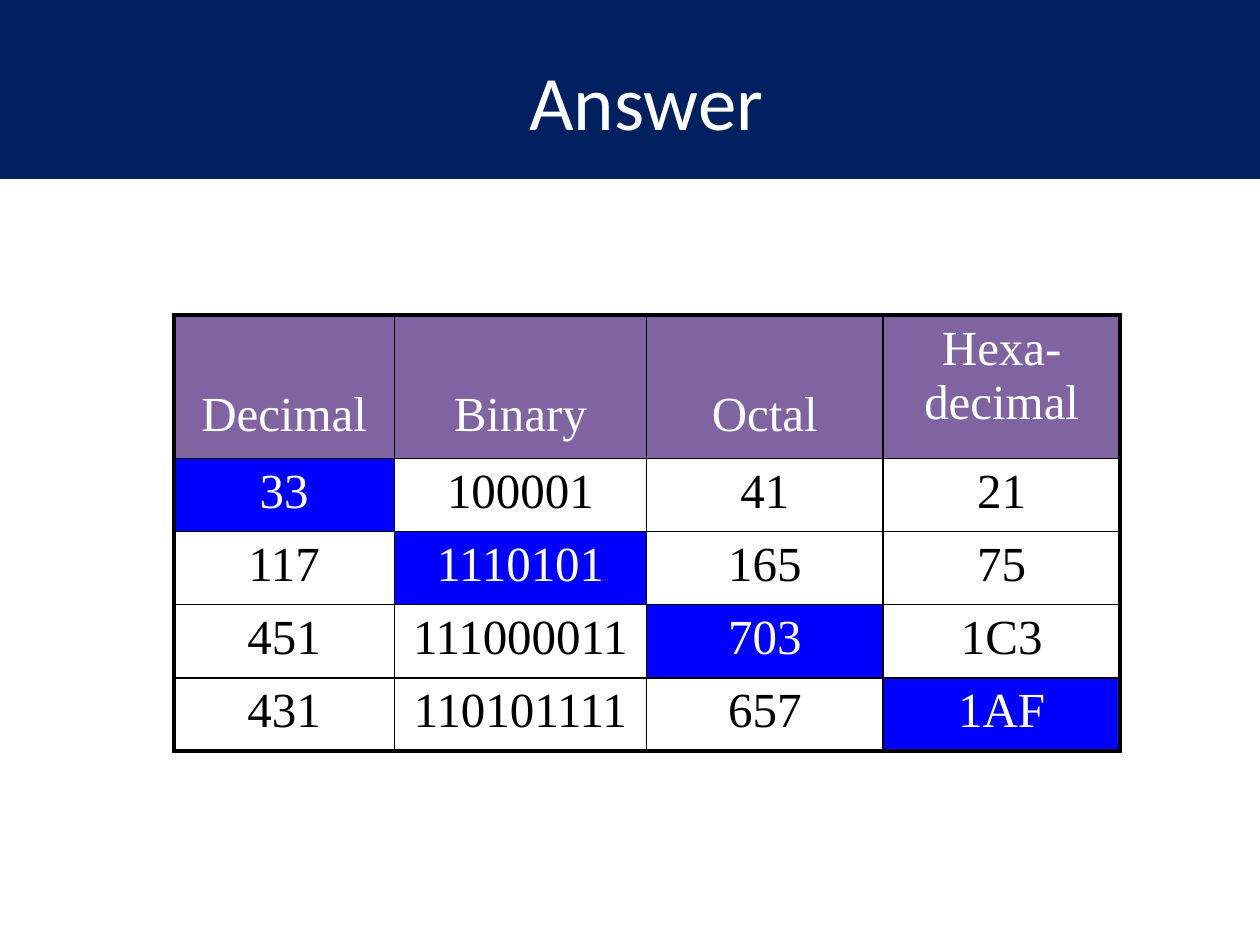
import pptx
import pptx.util
import pptx.dml.color
import pptx.enum.shapes
import pptx.enum.text
import pptx.oxml.ns
from lxml import etree

Inches, Pt = pptx.util.Inches, pptx.util.Pt
ANCHOR = pptx.enum.text.MSO_ANCHOR
CENTER = pptx.enum.text.PP_ALIGN.CENTER
COLORS = {"band": "002060", "header": "8064A2", "given": "0000FF",
          "light": "FFFFFF", "dark": "000000"}
ROWS = [
    ["Decimal", "Binary", "Octal", "Hexa-\vdecimal"],
    ["33", "100001", "41", "21"],
    ["117", "1110101", "165", "75"],
    ["451", "111000011", "703", "1C3"],
    ["431", "110101111", "657", "1AF"],
]
COL_WIDTHS = [1.75, 2, 1.88, 1.88]
ROW_HEIGHTS = [1.14] + [0.58] * 4
THICK, THIN = 2.25, 1


def rgb(name):
    return pptx.dml.color.RGBColor.from_string(COLORS[name])


def style_text(tf, size, font, color):
    for p in tf.paragraphs:
        p.alignment = CENTER
        for r in p.runs:
            for key, value in {"size": Pt(size), "name": font, "bold": False}.items():
                setattr(r.font, key, value)
            r.font.color.rgb = rgb(color)


def add_band(slide):
    """Draw the title band behind everything else."""
    s = slide.shapes.add_shape(pptx.enum.shapes.MSO_SHAPE.RECTANGLE,
                               0, 0, Inches(10), Inches(1.42))
    s.shadow.inherit = False
    s.fill.solid()
    s.fill.fore_color.rgb = rgb("band")
    s.line.fill.background()
    slide.shapes._spTree.insert(2, s._element)


def set_title(slide, text):
    s = slide.shapes.title
    s.left, s.top, s.width, s.height = map(Inches, (0.67, 0.25, 8.92, 1.08))
    s.text_frame.text = text
    s.text_frame.vertical_anchor = ANCHOR.MIDDLE
    style_text(s.text_frame, 44, "Calibri", "light")


def set_borders(cell, widths):
    """Add black borders; widths are points for left, right, top, bottom."""
    tc_pr = cell._tc.get_or_add_tcPr()
    qn = pptx.oxml.ns.qn
    for i, (side, width) in enumerate(zip("LRTB", widths)):
        ln = etree.Element(qn(f"a:ln{side}"), w=str(Pt(width)))
        fill = etree.SubElement(ln, qn("a:solidFill"))
        etree.SubElement(fill, qn("a:srgbClr"), val=COLORS["dark"])
        tc_pr.insert(i, ln)


def fill_cell(cell, text, fill):
    cell.text = text
    style_text(cell.text_frame, 28, "Times New Roman", "light" if fill else "dark")
    if fill:
        cell.fill.solid()
        cell.fill.fore_color.rgb = rgb(fill)
    else:
        cell.fill.background()


def add_number_table(slide):
    """Each number is given in one base, along the table's diagonal."""
    n_rows, n_cols = len(ROWS), len(COL_WIDTHS)
    table = slide.shapes.add_table(n_rows, n_cols, Inches(1.38), Inches(2.5),
                                   Inches(sum(COL_WIDTHS)),
                                   Inches(sum(ROW_HEIGHTS))).table
    table.first_row = table.horz_banding = False
    for col, width in zip(table.columns, COL_WIDTHS):
        col.width = Inches(width)
    for row, height in zip(table.rows, ROW_HEIGHTS):
        row.height = Inches(height)
    for i, row in enumerate(ROWS):
        for j, text in enumerate(row):
            cell = table.cell(i, j)
            fill = "header" if i == 0 else "given" if i == j + 1 else None
            fill_cell(cell, text, fill)
            if i == 0 and "\v" not in text:
                cell.vertical_anchor = ANCHOR.BOTTOM
                cell.margin_bottom = Inches(0.13)
            outer = (j == 0, j == n_cols - 1, i == 0, i == n_rows - 1)
            set_borders(cell, [THICK if edge else THIN for edge in outer])


def main():
    prs = pptx.Presentation()
    prs.slide_width, prs.slide_height = Inches(10), Inches(7.5)
    slide = prs.slides.add_slide(prs.slide_layouts[5])
    add_band(slide)
    set_title(slide, "Answer")
    add_number_table(slide)
    prs.save("out.pptx")


if __name__ == "__main__":
    main()
